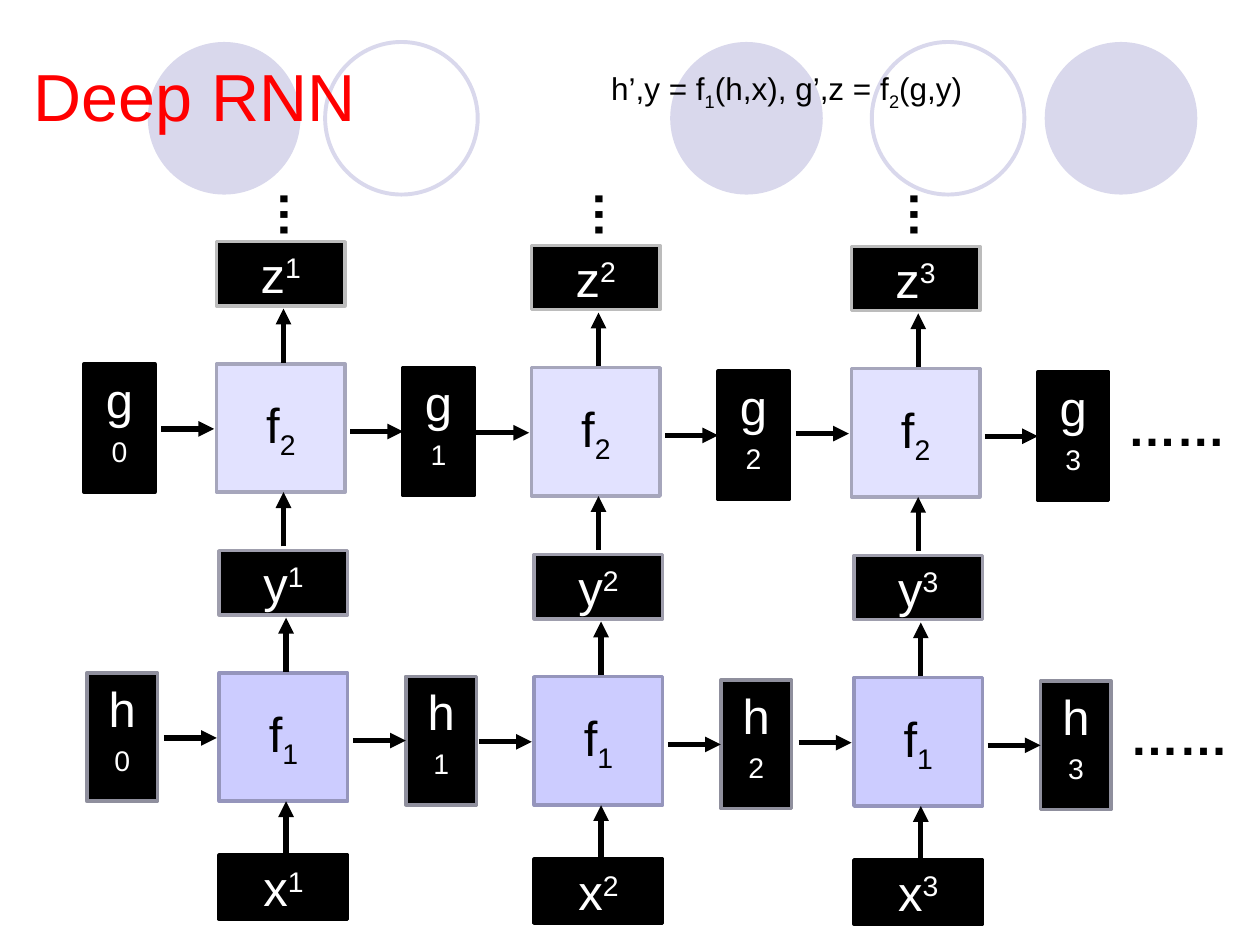
from lxml import etree
from pptx import Presentation
from pptx.dml.color import RGBColor
from pptx.enum.shapes import MSO_CONNECTOR, MSO_SHAPE
from pptx.enum.text import MSO_ANCHOR, PP_ALIGN
from pptx.oxml.ns import qn
from pptx.util import Pt

RECTANGLE, OVAL = MSO_SHAPE.RECTANGLE, MSO_SHAPE.OVAL
STRAIGHT = MSO_CONNECTOR.STRAIGHT
TOP, MIDDLE = MSO_ANCHOR.TOP, MSO_ANCHOR.MIDDLE
LEFT, CENTER = PP_ALIGN.LEFT, PP_ALIGN.CENTER
LEFT_SIDE = 1

FONT = "Arial"
BLACK, WHITE, RED, LAVENDER = "000000", "FFFFFF", "FF0000", "D9D8EC"
SUPER, SUB = 30000, -25000
INSET, STATE_INSET = 3.6, 8.3
CELL, STATE_WIDTH, VECTOR_HEIGHT = 73.4, 40.4, 36.7
STATE_X, STATE_Y = 106.6, 2

STEPS = [(125.3, 384.5), (305.3, 386.7), (488, 387.2)]
LAYERS = [
    {"shift": (0, 0), "state": "h", "output": "y", "index": "1", "fill": "CCCCFF",
     "cell_line": "9595BC", "state_line": "8F8F9D", "output_line": "9F9EAD"},
    {"shift": (-1.5, -176.6), "state": "g", "output": "z", "index": "2", "fill": "E2E2FF",
     "cell_line": "A6A6BC", "state_line": BLACK, "output_line": "BCBCBC"},
]
DISCS = [(383, True), (597, True), (84.5, True), (498.2, False), (185.8, False)]


def color(code):
    """Turn a hex string into a colour."""
    return RGBColor.from_string(code)


def write(frame, spans, size, ink, align=LEFT, anchor=TOP, side=INSET, bold=False):
    """Fill a text frame with one line of (text, baseline) spans."""
    frame.word_wrap = True
    frame.vertical_anchor = anchor
    frame.margin_left = frame.margin_right = Pt(side)
    frame.margin_top = frame.margin_bottom = Pt(INSET)
    para = frame.paragraphs[0]
    para.alignment = align
    for text, baseline in spans:
        span = para.add_run()
        span.text = text
        span.font.name, span.font.size, span.font.bold = FONT, Pt(size), bold
        span.font.color.rgb = color(ink)
        if baseline:
            span.font._element.set("baseline", str(baseline))


def add_label(page, spans, left, top, width, height, size, ink=BLACK, **style):
    """Add a text box."""
    box = page.shapes.add_textbox(Pt(left), Pt(top), Pt(width), Pt(height))
    write(box.text_frame, spans, size, ink, **style)
    return box


def add_figure(page, kind, left, top, width, height, fill, line, weight):
    """Add a shape with an optional fill and an optional outline."""
    figure = page.shapes.add_shape(kind, Pt(left), Pt(top), Pt(width), Pt(height))
    figure.shadow.inherit = False
    if fill:
        figure.fill.solid()
        figure.fill.fore_color.rgb = color(fill)
    else:
        figure.fill.background()
    if line:
        figure.line.color.rgb = color(line)
        figure.line.width = Pt(weight)
    else:
        figure.line.fill.background()
    return figure


def add_node(page, spans, left, top, width, height, fill, line, ink=WHITE, side=INSET):
    """Add a labelled rectangle of the network."""
    node = add_figure(page, RECTANGLE, left, top, width, height, fill, line, 2)
    write(node.text_frame, spans, 28, ink, align=CENTER, anchor=MIDDLE, side=side)
    return node


def add_vector(page, name, index, left, top, line):
    """Add a wide black box for an input or output vector."""
    add_node(page, [(name, 0), (index, SUPER)], left, top, CELL, VECTOR_HEIGHT, BLACK, line)


def add_state(page, layer, index, left, top):
    """Add a tall black box for a hidden state."""
    return add_node(page, [(layer["state"], 0), (index, SUPER)], left, top, STATE_WIDTH, CELL,
                    BLACK, layer["state_line"], side=STATE_INSET)


def add_arrow(page, x1, y1, x2, y2, target=None):
    """Add an arrow, joined to the left side of a target if there is one."""
    arrow = page.shapes.add_connector(STRAIGHT, Pt(x1), Pt(y1), Pt(x2), Pt(y2))
    arrow.line.color.rgb = color(BLACK)
    arrow.line.width = Pt(3)
    etree.SubElement(arrow.line._get_or_add_ln(), qn("a:tailEnd"), type="triangle")
    etree.SubElement(arrow._element.spPr, qn("a:effectLst"))
    if target is not None:
        arrow.end_connect(target, LEFT_SIDE)


def add_step(page, layer, index, x, y):
    """Add one recurrent cell with its next state, output and arrows."""
    add_node(page, [("f", 0), (layer["index"], SUB)], x, y, CELL, CELL,
             layer["fill"], layer["cell_line"], ink=BLACK)
    state = add_state(page, layer, index, x + STATE_X, y + STATE_Y)
    add_vector(page, layer["output"], index, x, y - 69.8, layer["output_line"])
    add_arrow(page, x - 31.7, y + 37.2, x - 1.4, y + 37.2)
    side_middle = y + STATE_Y + CELL / 2
    add_arrow(page, x + 76.3, side_middle, x + STATE_X, side_middle, state)
    add_arrow(page, x + 38.2, y - 0.7, x + 38.2, y - 31.5)
    add_arrow(page, x + 38.2, y + 104.3, x + 38.2, y + CELL)


def add_layer(page, layer):
    """Add one recurrent layer across all time steps."""
    shift_x, shift_y = layer["shift"]
    first_x, first_y = STEPS[0]
    add_state(page, layer, "0", first_x + shift_x - 75.7, first_y + shift_y)
    for number, (x, y) in enumerate(STEPS, 1):
        add_step(page, layer, str(number), x + shift_x, y + shift_y)
    add_label(page, [("……", 0)], 642.2 + shift_x, 400 + shift_y, 66.2, 38.2, 28, bold=True)


def main():
    """Build the slide and save it."""
    deck = Presentation()
    deck.slide_width, deck.slide_height = Pt(720), Pt(540)
    page = deck.slides.add_slide(deck.slide_layouts[6])
    for left, filled in DISCS:
        add_figure(page, OVAL, left, 24, 87.2, 87.2, LAVENDER if filled else None,
                   None if filled else LAVENDER, 2.25)
    add_label(page, [("Deep RNN", 0)], 15.8, 29.5, 226.8, 49, 38, RED, anchor=MIDDLE)
    for layer in LAYERS:
        add_layer(page, layer)
    for number, (x, y) in enumerate(STEPS, 1):
        add_vector(page, "x", str(number), x, y + 104.2, BLACK)
        dots = add_label(page, [("…", 0)], 159 + 180 * (number - 1), 100, 27.4, 38.2, 28, bold=True)
        dots.rotation = 90
    formula = [("h’,y = f", 0), ("1", SUB), ("(h,x), g’,z = f", 0), ("2", SUB), ("(g,y)", 0)]
    equation = add_label(page, formula, 345.6, 36, 211, 31, 18)
    equation.text_frame.word_wrap = False
    deck.save("out.pptx")


if __name__ == "__main__":
    main()
